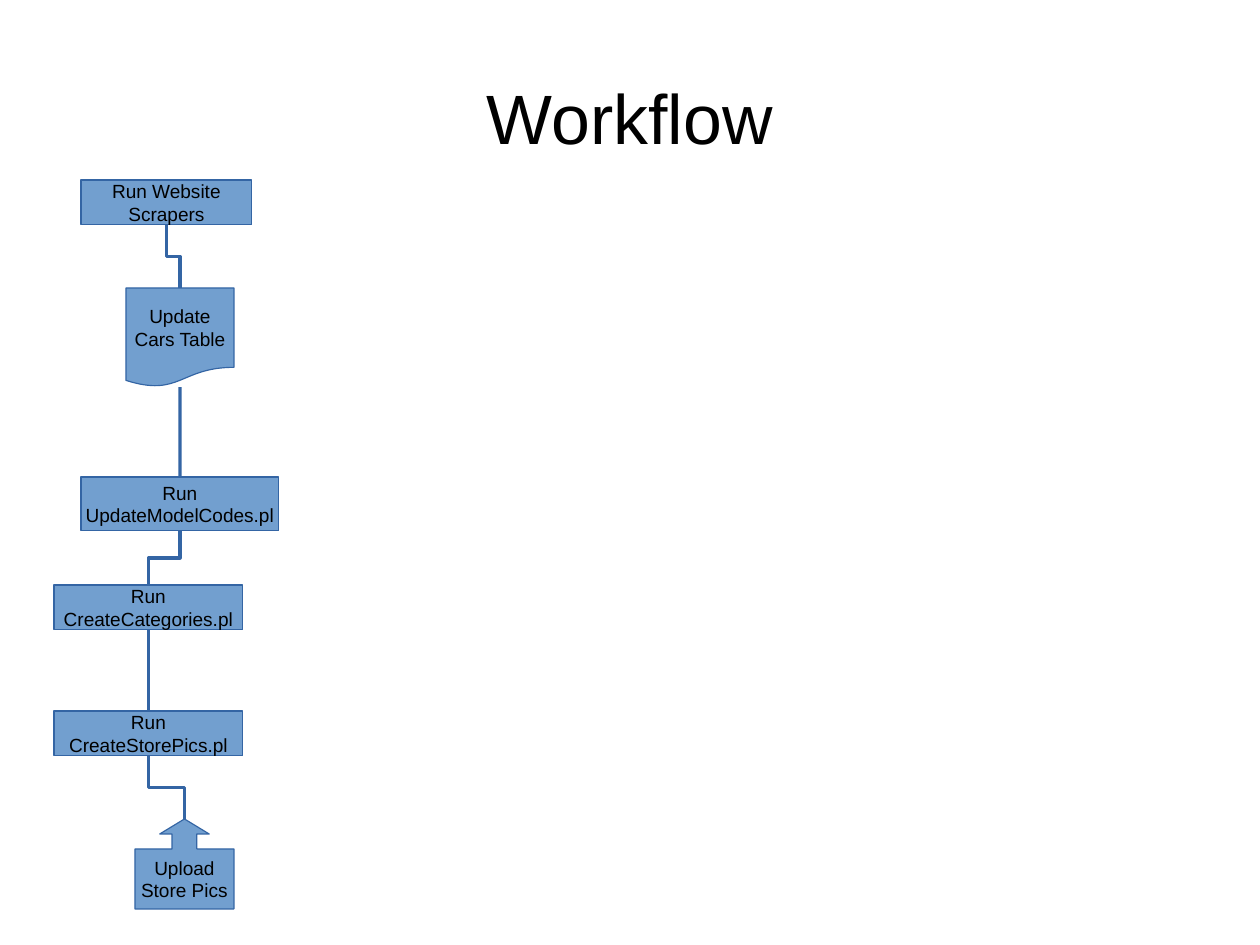
from dataclasses import dataclass

from pptx import Presentation
from pptx.dml.color import RGBColor
from pptx.enum.shapes import MSO_CONNECTOR, MSO_SHAPE
from pptx.enum.text import MSO_ANCHOR, PP_ALIGN
from pptx.oxml.ns import qn
from pptx.util import Cm, Pt
from lxml import etree

PROCESS = MSO_SHAPE.RECTANGLE
DOCUMENT = MSO_SHAPE.FLOWCHART_DOCUMENT
CALLOUT = MSO_SHAPE.UP_ARROW_CALLOUT
ELBOW = MSO_CONNECTOR.ELBOW
STRAIGHT = MSO_CONNECTOR.STRAIGHT
CENTER = PP_ALIGN.CENTER
MIDDLE = MSO_ANCHOR.MIDDLE
TITLE_ONLY = 5
TOP_SITE, BOTTOM_SITE = 0, 2
QUARTER_TURN = "5400000"


@dataclass(frozen=True)
class Theme:
    """Colours, font and sizes of the slide."""
    font: str = "Arial"
    text: RGBColor = RGBColor(0, 0, 0)
    fill: RGBColor = RGBColor(0x72, 0x9F, 0xCF)
    line: RGBColor = RGBColor(0x34, 0x65, 0xA4)
    title_size: Pt = Pt(44)
    step_size: Pt = Pt(12)
    line_width: Pt = Pt(0)


THEME = Theme()

STEPS = [
    (PROCESS, (1.8, 4, 3.8, 1), ("Run Website", "Scrapers")),
    (DOCUMENT, (2.8, 6.4, 2.4, 2.2), ("Update", "Cars Table")),
    (PROCESS, (1.8, 10.6, 4.4, 1.2), ("Run", "UpdateModelCodes.pl")),
    (PROCESS, (1.2, 13, 4.2, 1), ("Run", "CreateCategories.pl")),
    (PROCESS, (1.2, 15.8, 4.2, 1), ("Run", "CreateStorePics.pl")),
    (CALLOUT, (3, 18.2, 2.2, 2), ("Upload", "Store Pics")),
]
CALLOUT_PROPORTIONS = (0.275, 0.275, 0.167, 0.667)


def write_lines(frame, lines, size):
    """Write centred paragraphs, one run each."""
    frame.vertical_anchor = MIDDLE
    for index, line in enumerate(lines):
        paragraph = frame.add_paragraph() if index else frame.paragraphs[0]
        paragraph.alignment = CENTER
        run = paragraph.add_run()
        run.text = line
        run.font.name = THEME.font
        run.font.size = size
        run.font.color.rgb = THEME.text


def style_line(line):
    """Give an outline or connector the theme line."""
    line.color.rgb = THEME.line
    line.width = THEME.line_width


def add_title(slide, title):
    """Place and fill the title placeholder."""
    heading = slide.shapes.title
    heading.left, heading.top = Cm(1.4), Cm(0.84)
    heading.width, heading.height = Cm(25.2), Cm(3.5)
    frame = heading.text_frame
    frame.margin_left = frame.margin_right = 0
    frame.margin_top = frame.margin_bottom = 0
    write_lines(frame, [title], THEME.title_size)


def add_step(slide, kind, bounds, lines):
    """Draw one workflow step and return it."""
    step = slide.shapes.add_shape(kind, *(Cm(length) for length in bounds))
    step.shadow.inherit = False
    step.fill.solid()
    step.fill.fore_color.rgb = THEME.fill
    style_line(step.line)
    if kind == CALLOUT:
        for index, proportion in enumerate(CALLOUT_PROPORTIONS):
            step.adjustments[index] = proportion
    step.text_frame.word_wrap = False
    write_lines(step.text_frame, lines, THEME.step_size)
    return step


def turn_downwards(link):
    """Turn an elbow so that it leaves and arrives vertically."""
    run, drop = link.end_x - link.begin_x, link.end_y - link.begin_y
    middle_x = (link.begin_x + link.end_x) // 2
    middle_y = (link.begin_y + link.end_y) // 2
    link.width, link.height = drop, abs(run)
    link.left, link.top = middle_x - drop // 2, middle_y - abs(run) // 2
    element = link._element
    element.flipH, element.flipV = False, run > 0
    element.spPr.find(qn("a:xfrm")).set("rot", QUARTER_TURN)


def link_steps(slide, upper, lower):
    """Connect the bottom of one step to the top of the next."""
    offset = lower.left + lower.width // 2 - upper.left - upper.width // 2
    aligned = abs(offset) < Cm(0.1)
    link = slide.shapes.add_connector(STRAIGHT if aligned else ELBOW, 0, 0, 0, 0)
    link.begin_connect(upper, BOTTOM_SITE)
    link.end_connect(lower, TOP_SITE)
    if not aligned:
        turn_downwards(link)
    style_line(link.line)
    etree.SubElement(link._element.spPr, qn("a:effectLst"))


def main():
    """Build the workflow slide."""
    deck = Presentation()
    deck.slide_width, deck.slide_height = Cm(28), Cm(21)
    slide = deck.slides.add_slide(deck.slide_layouts[TITLE_ONLY])
    add_title(slide, "Workflow")
    steps = [add_step(slide, *step) for step in STEPS]
    for upper, lower in zip(steps, steps[1:]):
        link_steps(slide, upper, lower)
    deck.save("out.pptx")


if __name__ == "__main__":
    main()
